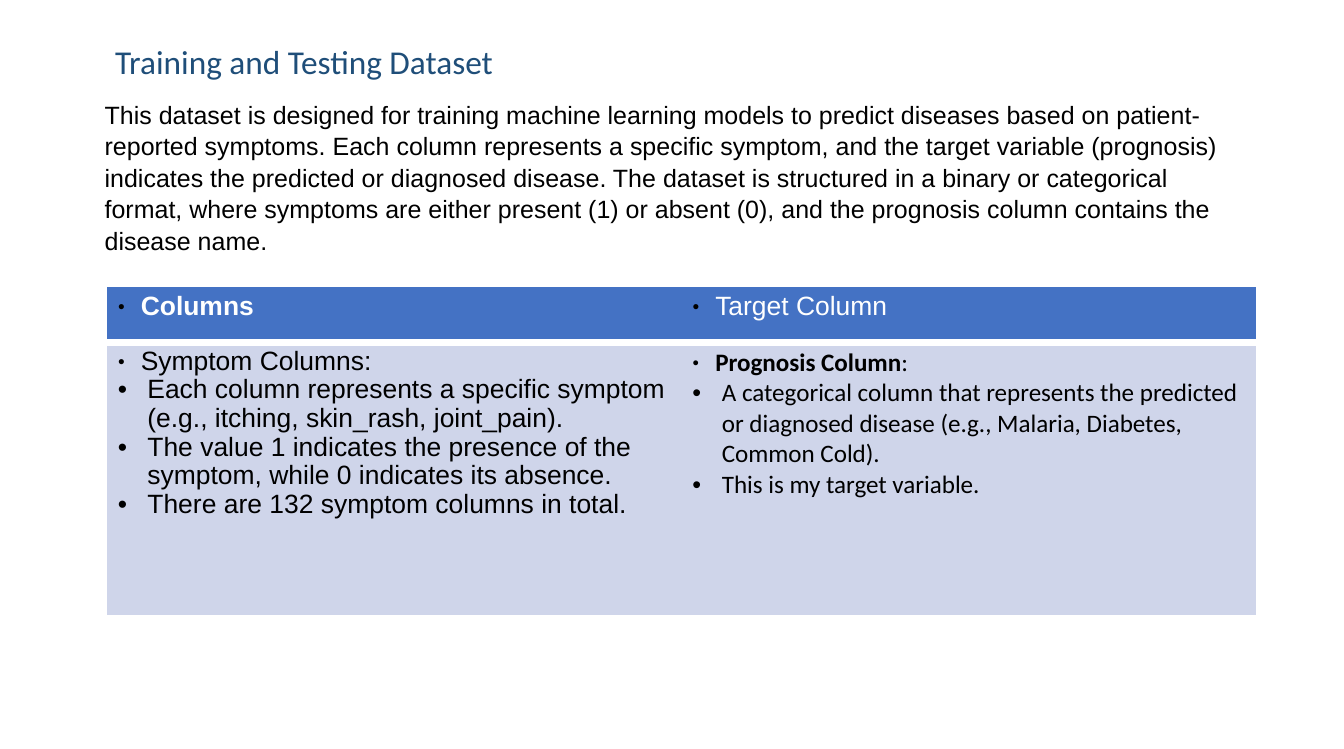
from dataclasses import dataclass
from typing import Any

from lxml import etree
from pptx import Presentation
from pptx import util as u
from pptx.dml.color import RGBColor
from pptx.enum import text
from pptx.oxml import ns


@dataclass(frozen=True)
class Theme:
    ink: str = "000000"
    heading: str = "1F4E79"
    white: str = "FFFFFF"
    header_fill: str = "4472C4"
    body_fill: str = "CFD5EA"
    sans: str = "Arial"
    humanist: str = "Calibri"
    heading_size: float = 25.2
    intro_size: float = 18.9
    cell_size: float = 20
    target_size: float = 19


@dataclass(frozen=True)
class Bullet:
    char: str
    indent: float
    percent: int


@dataclass(frozen=True)
class Run:
    text: str
    bold: bool = False


@dataclass(frozen=True)
class Item:
    runs: tuple[Run, ...]
    bullet: Bullet


@dataclass(frozen=True)
class CellSpec:
    items: tuple[Item, ...]
    fill: str
    color: str
    font: str
    size: float
    spacing: float


T = Theme()
LEAD = Bullet("●", 0.24, 45)
POINT = Bullet("•", 0.31, 100)
NO_STYLE = "{2D5ABB26-0587-4C30-8999-92F81FD0307C}"

INTRO = (
    "This dataset is designed for training machine learning models to predict diseases "
    "based on patient-reported symptoms. Each column represents a specific symptom, and "
    "the target variable (prognosis) indicates the predicted or diagnosed disease. The "
    "dataset is structured in a binary or categorical format, where symptoms are either "
    "present (1) or absent (0), and the prognosis column contains the disease name."
)


def points(*lines: str) -> tuple[Item, ...]:
    return tuple(Item((Run(line),), POINT) for line in lines)


def header(label: str, bold: bool) -> CellSpec:
    item = Item((Run(label, bold),), LEAD)
    return CellSpec((item,), T.header_fill, T.white, T.sans, T.cell_size, 0.97)


SYMPTOMS = CellSpec(
    (Item((Run("Symptom Columns:"),), LEAD),)
    + points(
        "Each column represents a specific symptom (e.g., itching, skin_rash, joint_pain).",
        "The value 1 indicates the presence of the symptom, while 0 indicates its absence.",
        "There are 132 symptom columns in total.",
    ),
    T.body_fill, T.ink, T.sans, T.cell_size, 0.97,
)
PROGNOSIS = CellSpec(
    (Item((Run("Prognosis Column", True), Run(":")), LEAD),)
    + points(
        "A categorical column that represents the predicted or diagnosed disease "
        "(e.g., Malaria, Diabetes, Common Cold).",
        "This is my target variable.",
    ),
    T.body_fill, T.ink, T.humanist, T.target_size, 1,
)
GRID = ((header("Columns", True), header("Target Column", False)), (SYMPTOMS, PROGNOSIS))


def add_text(p: Any, words: str, *, font: str, size: float, color: str, bold: bool = False) -> None:
    r = p.add_run()
    r.text = words
    r.font.name = font
    r.font.size = u.Pt(size)
    r.font.bold = bold
    r.font.color.rgb = RGBColor.from_string(color)


def add_bullet(p: Any, bullet: Bullet) -> None:
    pPr = p._p.get_or_add_pPr()
    indent = u.Inches(bullet.indent)
    pPr.set("marL", str(indent))
    pPr.set("indent", str(-indent))
    color = etree.SubElement(pPr, ns.qn("a:buClr"))
    etree.SubElement(color, ns.qn("a:srgbClr"), val=T.ink)
    etree.SubElement(pPr, ns.qn("a:buSzPct"), val=str(bullet.percent * 1000))
    etree.SubElement(pPr, ns.qn("a:buFont"), typeface=T.sans)
    etree.SubElement(pPr, ns.qn("a:buChar"), char=bullet.char)


def add_bottom_border(cell: Any, color: str, width: float) -> None:
    ln = etree.Element(ns.qn("a:lnB"), w=str(u.Pt(width)))
    fill = etree.SubElement(ln, ns.qn("a:solidFill"))
    etree.SubElement(fill, ns.qn("a:srgbClr"), val=color)
    cell._tc.get_or_add_tcPr().insert(0, ln)


def fill_cell(cell: Any, spec: CellSpec) -> None:
    cell.margin_left = cell.margin_right = u.Inches(0.11)
    cell.margin_top = cell.margin_bottom = u.Inches(0.05)
    cell.fill.solid()
    cell.fill.fore_color.rgb = RGBColor.from_string(spec.fill)
    tf = cell.text_frame
    for i, item in enumerate(spec.items):
        p = tf.add_paragraph() if i else tf.paragraphs[0]
        add_bullet(p, item.bullet)
        p.line_spacing = spec.spacing
        for run in item.runs:
            add_text(p, run.text, font=spec.font, size=spec.size, color=spec.color, bold=run.bold)


def add_intro(s: Any) -> None:
    sp = s.shapes.title
    sp.left, sp.top, sp.width, sp.height = map(u.Inches, (1, 1.01, 12.26, 1.69))
    tf = sp.text_frame
    tf.word_wrap = True
    tf.auto_size = text.MSO_AUTO_SIZE.NONE
    tf.vertical_anchor = text.MSO_ANCHOR.MIDDLE
    p = tf.paragraphs[0]
    p.alignment = text.PP_ALIGN.LEFT
    p.line_spacing = 1.05
    add_text(p, INTRO, font=T.sans, size=T.intro_size, color=T.ink)


def add_heading(s: Any) -> None:
    sp = s.shapes.add_textbox(*map(u.Inches, (1.1, 0.38, 4.95, 0.55)))
    tf = sp.text_frame
    tf.word_wrap = True
    tf.margin_left = tf.margin_right = u.Inches(0.11)
    add_text(tf.paragraphs[0], "Training and Testing Dataset",
             font=T.humanist, size=T.heading_size, color=T.heading)


def add_dataset_table(s: Any) -> None:
    frame = s.shapes.add_table(2, 2, *map(u.Inches, (1.13, 3.02, 12.08, 3.44)))
    table = frame.table
    table.first_row = table.horz_banding = False
    table._tbl.tblPr.find(ns.qn("a:tableStyleId")).text = NO_STYLE
    for row, height in zip(table.rows, (0.58, 2.86)):
        row.height = u.Inches(height)
    for i, specs in enumerate(GRID):
        for j, spec in enumerate(specs):
            fill_cell(table.cell(i, j), spec)
    for cell in table.rows[0].cells:
        add_bottom_border(cell, T.white, 6)


def main() -> None:
    prs = Presentation()
    prs.slide_width, prs.slide_height = u.Inches(14.13), u.Inches(7.87)
    s = prs.slides.add_slide(prs.slide_layouts[5])
    add_intro(s)
    add_dataset_table(s)
    add_heading(s)
    prs.save("out.pptx")


if __name__ == "__main__":
    main()
